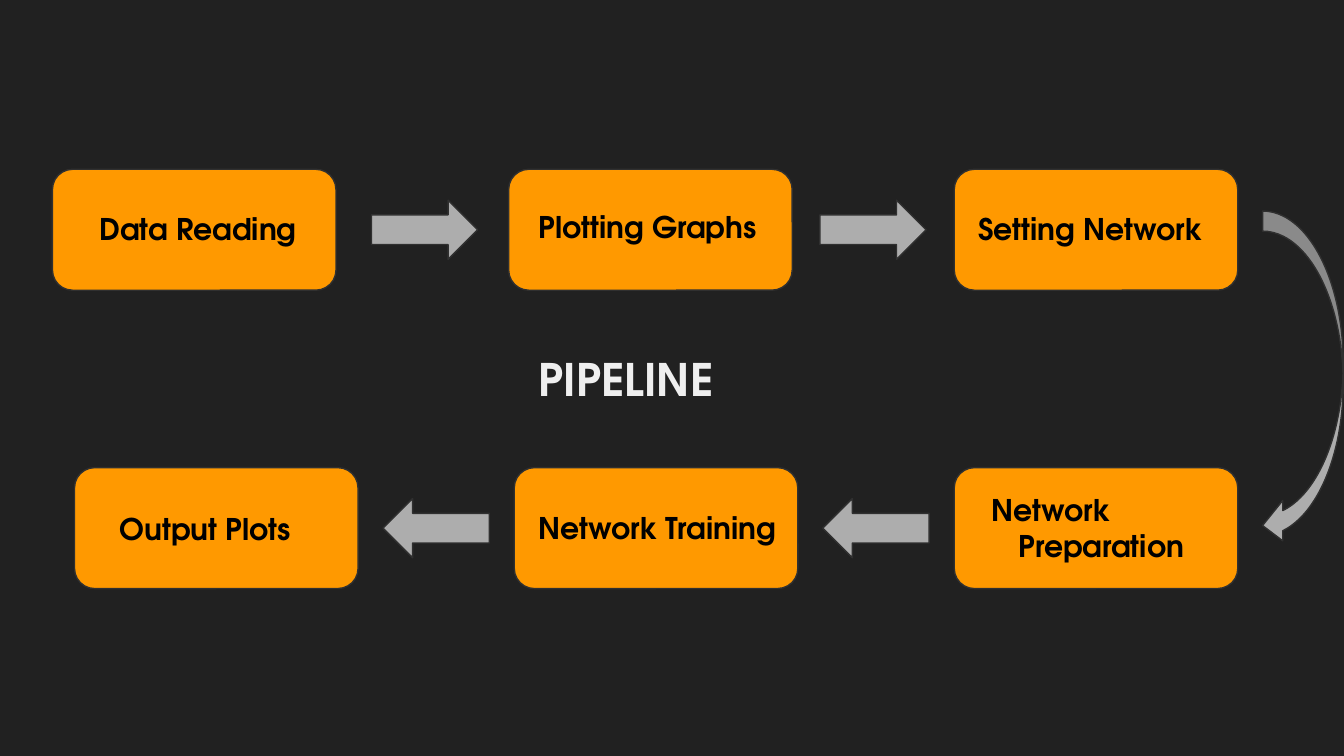
from dataclasses import dataclass

from pptx import Presentation
from pptx.dml.color import RGBColor as Rgb
from pptx.enum.shapes import MSO_SHAPE as Kind
from pptx.enum.text import MSO_AUTO_SIZE as Fit
from pptx.shapes.autoshape import Shape
from pptx.slide import Slide
from pptx.util import Pt


@dataclass(frozen=True)
class Theme:
    back: str = "212121"
    box: str = "FF9900"
    arrow: str = "ADADAD"
    edge: str = "303030"
    label: str = "000000"
    title: str = "EFEFEF"
    font: str = "TeX Gyre Adventor"
    small: float = 16
    large: float = 24
    rule: float = 0.75
    inset: float = 7.2


@dataclass(frozen=True)
class Step:
    text: str
    left: float
    top: float
    text_left: float
    text_top: float
    text_width: float
    hang: float = 0


@dataclass(frozen=True)
class Arrow:
    left: float
    top: float
    turn: float = 0


THEME = Theme()
UPPER, LOWER = 90.72, 250.56
BOX_WIDTH, BOX_HEIGHT = 151.92, 64.8
ARROW_WIDTH, ARROW_HEIGHT = 56.88, 31.68
ARROW_DROP = (BOX_HEIGHT - ARROW_HEIGHT) / 2

STEPS = [
    Step("Data Reading", 28.08, UPPER, 46.08, 105.84, 127.44),
    Step("Plotting Graphs", 272.5, UPPER, 281.52, 104.4, 151.92),
    Step("Setting Network", 511.2, UPPER, 516.96, 105.84, 143.28),
    Step("Network Preparation", 511.2, LOWER, 524.16, 256.32, 127.44, hang=14.4),
    Step("Network Training", 275.5, LOWER, 281.52, 266.1, 162.72),
    Step("Output Plots", 39.9, LOWER, 56.88, 266.4, 127.44),
]
ARROWS = [
    Arrow(199, UPPER),
    Arrow(439.2, UPPER),
    Arrow(440.8, LOWER, turn=180),
    Arrow(205.2, LOWER, turn=180),
]


def add_form(slide: Slide, kind: Kind, left: float, top: float,
             width: float, height: float, fill: str) -> Shape:
    form = slide.shapes.add_shape(kind, Pt(left), Pt(top), Pt(width), Pt(height))
    form.shadow.inherit = False
    form.fill.solid()
    form.fill.fore_color.rgb = Rgb.from_string(fill)
    form.line.color.rgb = Rgb.from_string(THEME.edge)
    form.line.width = Pt(THEME.rule)
    return form


def add_text(slide: Slide, text: str, *, left: float, top: float, width: float,
             height: float = 33.84, size: float = THEME.small,
             color: str = THEME.label, hang: float = 0) -> None:
    frame = slide.shapes.add_textbox(Pt(left), Pt(top), Pt(width), Pt(height)).text_frame
    frame.word_wrap = True
    frame.auto_size = Fit.SHAPE_TO_FIT_TEXT
    frame.margin_left = frame.margin_right = Pt(THEME.inset)
    frame.margin_top = frame.margin_bottom = Pt(THEME.inset)
    para = frame.paragraphs[0]
    if hang:
        props = para._p.get_or_add_pPr()
        props.set("marL", str(Pt(hang)))
        props.set("indent", str(-Pt(hang)))
    run = para.add_run()
    run.text = text
    run.font.name = THEME.font
    run.font.size = Pt(size)
    run.font.bold = True
    run.font.color.rgb = Rgb.from_string(color)


def add_arrow(slide: Slide, arrow: Arrow) -> None:
    form = add_form(slide, Kind.RIGHT_ARROW, arrow.left, arrow.top + ARROW_DROP,
                    ARROW_WIDTH, ARROW_HEIGHT, THEME.arrow)
    form.rotation = arrow.turn


def main() -> None:
    deck = Presentation()
    deck.slide_width, deck.slide_height = Pt(720), Pt(405)
    slide = deck.slides.add_slide(deck.slide_layouts[6])
    slide.background.fill.solid()
    slide.background.fill.fore_color.rgb = Rgb.from_string(THEME.back)

    for step in STEPS:
        add_form(slide, Kind.ROUNDED_RECTANGLE, step.left, step.top,
                 BOX_WIDTH, BOX_HEIGHT, THEME.box)
    for arrow in ARROWS:
        add_arrow(slide, arrow)
    add_form(slide, Kind.CURVED_LEFT_ARROW, 676.4, 113.04, 43.2, 179.28, THEME.arrow)

    for step in STEPS:
        add_text(slide, step.text, left=step.text_left, top=step.text_top,
                 width=step.text_width, height=53.28 if step.hang else 33.84,
                 hang=step.hang)
    add_text(slide, "PIPELINE", left=281.52, top=181.44, width=187.2, height=43.92,
             size=THEME.large, color=THEME.title)
    deck.save("out.pptx")


if __name__ == "__main__":
    main()
